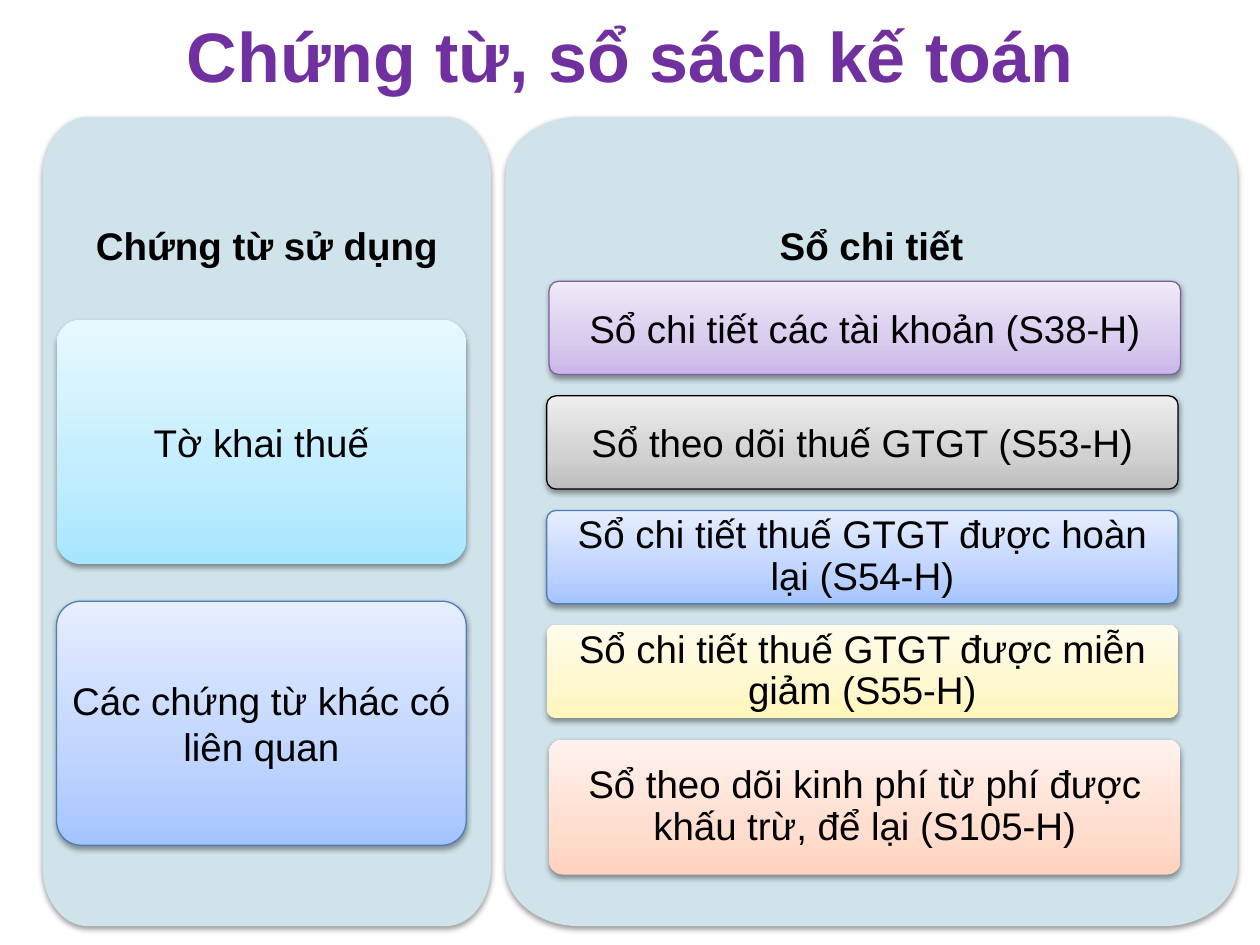
from copy import deepcopy
from dataclasses import dataclass
from math import cos, pi, sin

from lxml.etree import SubElement
from pptx import Presentation
from pptx.dml.color import RGBColor
from pptx.enum.shapes import MSO_SHAPE
from pptx.enum.text import MSO_ANCHOR, PP_ALIGN
from pptx.oxml.ns import qn
from pptx.util import Cm, Pt


@dataclass(frozen=True)
class Theme:
    face: str = "Arial"
    title: int = 40
    body: int = 22
    accent: str = "7030A0"
    ink: str = "000000"
    panel: str = "D0E3EA"
    # Gradient stops from bottom to top, then the outline
    cyan: tuple = ("A7E6FF", "C1EDFF", "E7F8FF", None)
    blue: tuple = ("A4C4FF", "BFD4FF", "E6EEFF", "4B7EBC")
    violet: tuple = ("C9B5E8", "D8CBEE", "F0EAF9", "7D60A0")
    gray: tuple = ("BDBDBD", "D1D1D1", "EEEEEE", "000000")
    cream: tuple = ("FFF6B9", "FFF8CE", "FFFCEC", None)
    peach: tuple = ("FFD2BD", "FFDED0", "FFF2ED", None)


THEME = Theme()
STOPS = (0, 0.35, 1)
PAD = 0.14
TOP, TALL = 2.36, 16.31

PANELS = [
    (0.86, 9.04, "Chứng từ sử dụng"),
    (10.19, 14.76, "Sổ chi tiết"),
]
CARDS = [
    ("Tờ khai thuế", THEME.cyan),
    ("Các chứng từ khác có liên quan", THEME.blue),
]
# left, height, wording, colours, line spacing
BARS = [
    (11.07, 1.88, "Sổ chi tiết các tài khoản (S38-H)", THEME.violet, 1),
    (11.02, 1.88, "Sổ theo dõi thuế GTGT (S53-H)", THEME.gray, 1),
    (11.02, 1.88, "Sổ chi tiết thuế GTGT được hoàn lại (S54-H)", THEME.blue, 0.9),
    (11.02, 1.88, "Sổ chi tiết thuế GTGT được miễn giảm (S55-H)", THEME.cream, 0.9),
    (11.07, 2.72, "Sổ theo dõi kinh phí từ phí được khấu trừ, để lại (S105-H)",
     THEME.peach, 0.9),
]


def rgb(code):
    return RGBColor.from_string(code)


def apply(item, values):
    for name, value in values.items():
        setattr(item, name, value)


def write(shape, text, size=THEME.body, color=THEME.ink, bold=False,
          space=1, anchor=MSO_ANCHOR.MIDDLE, pads=(PAD,) * 4):
    """Set centred text; pads run left, top, right, bottom in cm."""
    frame = shape.text_frame
    sides = ("margin_left", "margin_top", "margin_right", "margin_bottom")
    apply(frame, {"word_wrap": True, "vertical_anchor": anchor})
    apply(frame, dict(zip(sides, map(Cm, pads))))
    para = frame.paragraphs[0]
    apply(para, {"text": text, "alignment": PP_ALIGN.CENTER, "line_spacing": space})
    font = para.runs[0].font
    apply(font, {"name": THEME.face, "size": Pt(size), "bold": bold})
    font.color.rgb = rgb(color)


def shade(shape):
    """Give the shape a soft shadow straight below."""
    shape.shadow.inherit = False
    effects = shape._element.spPr.find(qn("a:effectLst"))
    drop = SubElement(effects, qn("a:outerShdw"), blurRad=str(Pt(3.1)),
                      dist=str(Pt(1.6)), dir="5400000", rotWithShape="0")
    tint = SubElement(drop, qn("a:srgbClr"), val=THEME.ink)
    SubElement(tint, qn("a:alpha"), val="38000")


def blend(shape, colors):
    """Fill with three stops rising from the bottom edge."""
    fill = shape.fill
    fill.gradient()
    fill.gradient_angle = 90
    stops = shape._element.spPr.find(".//" + qn("a:gsLst"))
    stops.append(deepcopy(stops[-1]))
    for stop, place, color in zip(fill.gradient_stops, STOPS, colors):
        stop.position = place
        stop.color.rgb = rgb(color)


def add_title(slide, text):
    box = slide.shapes.add_textbox(Cm(1.75), 0, Cm(21.9), Cm(2.1))
    write(box, text, THEME.title, THEME.accent, True, 0.9,
          MSO_ANCHOR.BOTTOM, (0.25, 0.13, 0.25, 0.13))


def add_panel(slide, left, width, text):
    """Draw a panel whose corners are elliptical quarter arcs."""
    rx, ry, steps = width / 10, 1.19, 16
    right, base = left + width - rx, TOP + TALL - ry
    hubs = [(right, base), (left + rx, base), (left + rx, TOP + ry), (right, TOP + ry)]
    dots = []
    for turn, (x, y) in enumerate(hubs):
        for step in range(steps + 1):
            angle = (turn + step / steps) * pi / 2
            dots.append((Cm(x + rx * cos(angle)), Cm(y + ry * sin(angle))))
    path = slide.shapes.build_freeform(*dots[0])
    path.add_line_segments(dots[1:], close=True)
    shape = path.convert_to_shape()
    shape.fill.solid()
    shape.fill.fore_color.rgb = rgb(THEME.panel)
    shape.line.fill.background()
    shade(shape)
    write(shape, text, bold=True, pads=(0.2, 0.2, 0.2, 11.35))


def add_card(slide, left, top, width, height, text, colors, space=1):
    shape = slide.shapes.add_shape(MSO_SHAPE.ROUNDED_RECTANGLE, Cm(left), Cm(top),
                                   Cm(width), Cm(height))
    shape.adjustments[0] = 0.1
    *stops, edge = colors
    blend(shape, stops)
    if edge:
        shape.line.color.rgb = rgb(edge)
        shape.line.width = Pt(0.75)
    else:
        shape.line.fill.background()
    shade(shape)
    write(shape, text, space=space)


def main():
    deck = Presentation()
    apply(deck, {"slide_width": Cm(25.4), "slide_height": Cm(19.05)})
    slide = deck.slides.add_slide(deck.slide_layouts[6])
    add_title(slide, "Chứng từ, sổ sách kế toán")
    for panel in PANELS:
        add_panel(slide, *panel)
    for row, (text, colors) in enumerate(CARDS):
        add_card(slide, 1.14, 6.45 + row * 5.67, 8.26, 4.92, text, colors)
    for row, (left, height, text, colors, space) in enumerate(BARS):
        add_card(slide, left, 5.67 + row * 2.31, 12.73, height, text, colors, space)
    deck.save("out.pptx")


if __name__ == "__main__":
    main()
